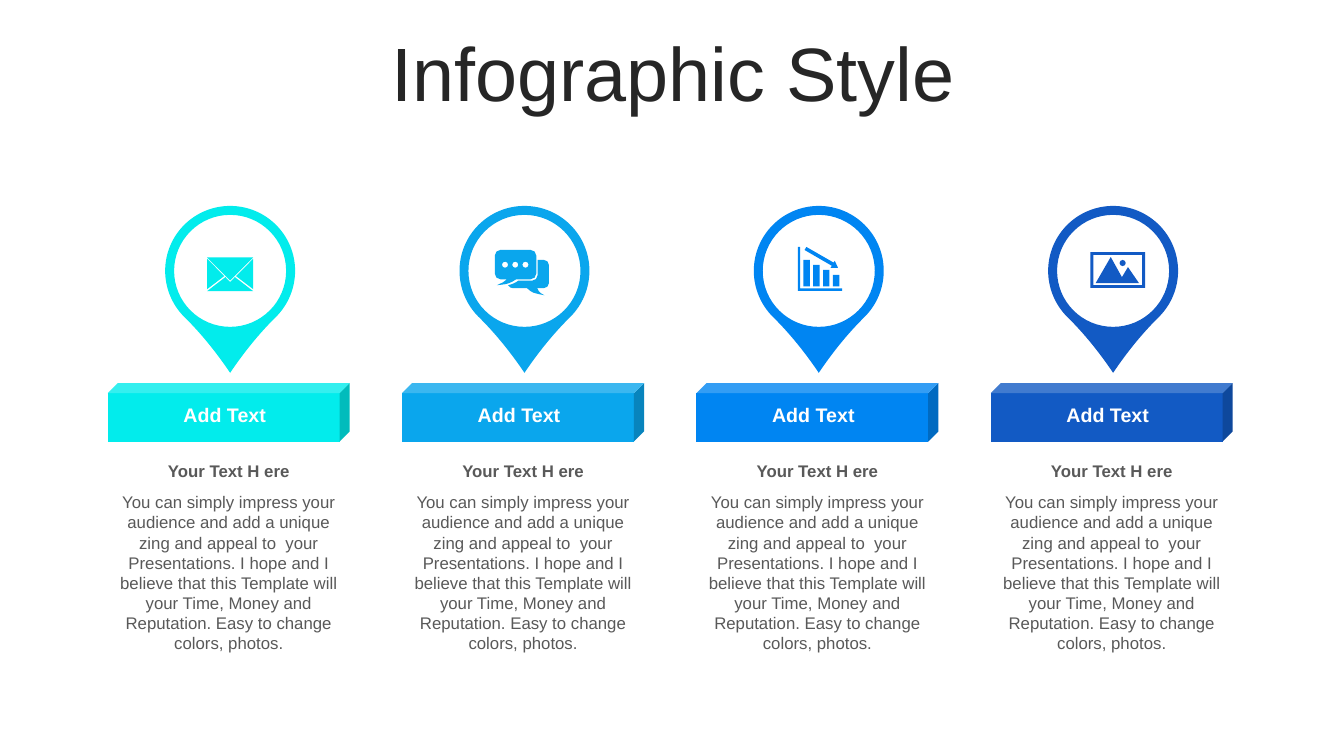
from math import cos, radians, sin, tan

from pptx import Presentation
from pptx.dml.color import RGBColor
from pptx.enum.shapes import MSO_SHAPE
from pptx.enum.text import MSO_ANCHOR, PP_ALIGN
from pptx.oxml.ns import qn
from pptx.util import Pt

TITLE = "Infographic Style"
LABEL = "Add Text"
HEADING = "Your Text H ere"
BODY = (
    "You can simply impress your audience and add a unique zing and appeal to  your "
    "Presentations. I hope and I believe that this Template will your Time, Money and "
    "Reputation. Easy to change colors, photos."
)
PITCH = 210.24
PIN_X, PIN_Y = 164.4, 193.5
HOLE_RADIUS, PIN_RADIUS = 40, 46.4


def lines(*points):
    return [[point] for point in points]


def arc(x, y, radius, *angles):
    def spot(angle, reach=0):
        c, s = cos(radians(angle)), sin(radians(angle))
        return x + radius * (c - reach * s), y + radius * (s + reach * c)

    steps = lines(spot(angles[0]))
    for start, end in zip(angles, angles[1:]):
        reach = 4 / 3 * tan(radians(end - start) / 4)
        steps.append([spot(start, reach), spot(end, -reach), spot(end)])
    return steps


def circle(x, y, radius):
    return arc(x, y, radius, 0, 90, 180, 270, 360)


def rectangle(left, top, right, bottom):
    return lines((left, top), (right, top), (right, bottom), (left, bottom))


PIN = [
    circle(0, 0, HOLE_RADIUS),
    arc(0, 0, PIN_RADIUS, 135, 180, 270, 360, 405)
    + [
        [(20.8, 44.6), (9.8, 58.3), (0, 72.8)],
        [(-9.8, 58.3), (-20.8, 44.6), (-32.8, 32.8)],
    ],
]

ENVELOPE = [
    lines((-16.4, -9.6), (16.4, -9.6), (0, 6.8)),
    lines((16.4, -8.6), (16.4, 13), (4.2, 3.7)),
    lines((-16.4, -8.6), (-16.4, 13), (-4.2, 3.7)),
    lines((3.4, 4.4), (16.4, 14.4), (-16.4, 14.4), (-3.4, 4.4), (0, 8)),
]

FRONT_BUBBLE = (
    arc(-17.2, -11, 4, 180, 270)
    + arc(4.4, -11, 4, 270, 360)
    + arc(4.4, 2, 4, 0, 90)
    + lines((-5.9, 6))
    + [
        [(-10.3, 8.8), (-11.7, 9.5), (-19.7, 10.2)],
        [(-15.3, 8.1), (-14.6, 8.1), (-12.5, 6)],
    ]
    + arc(-17.2, 2, 4, 90, 180)
)
BACK_BUBBLE = (
    lines((9.4, -7.9))
    + arc(13.7, -4.1, 3.8, 270, 360)
    + arc(13.7, 8.6, 3.8, 0, 90)
    + lines((9.1, 12.4))
    + [
        [(9.9, 13.8), (9.9, 15.3), (14.2, 17.4)],
        [(6.3, 15.8), (5.5, 15.8), (1.9, 12.4)],
    ]
    + lines((-8.1, 12.4))
    + [
        [(-9.6, 12.4), (-11, 11.7), (-11.7, 10.2)],
        [(-8.9, 9.5), (-6.7, 8.8), (-4.5, 7)],
    ]
    + arc(5.4, 3, 4, 90, 0)
)
CHAT = [circle(x, -4.4, 2.2) for x in (-13.9, -6.6, 0.7)] + [FRONT_BUBBLE, BACK_BUBBLE]

BARS = [rectangle(-11 + 7 * i, -7.9 + 3.6 * i, -6.4 + 7 * i, 11.1) for i in range(4)] + [
    lines((-8.9, -17.1), (10.6, -5.9), (11.4, -7.2), (13.7, -2.2), (8.4, -2.2), (9.3, -3.6), (-10.2, -14.9)),
    lines((-15, -17.1), (-13.3, -17.1), (-13.3, 12.5), (16.6, 12.5), (16.6, 14.3), (-15, 14.3)),
]

LANDSCAPE = [
    rectangle(-16.2, -13.4, 22.8, 12.1),
    rectangle(-14.1, -11.4, 20.7, 10.1),
    circle(6.8, -5.6, 2.2),
    lines((-1.7, -9.9), (6.3, 4.5), (10.6, -2.7), (18.5, 8.8), (-12.5, 8.8)),
]

COLUMNS = [
    ("02ECEC", ENVELOPE),
    ("0AA6ED", CHAT),
    ("0085F2", BARS),
    ("125AC4", LANDSCAPE),
]

deck = Presentation()
deck.slide_width, deck.slide_height = Pt(960), Pt(540)
page = deck.slides.add_slide(deck.slide_layouts[6])


def color(value):
    return RGBColor.from_string(value)


def paint(shape, fill):
    shape.shadow.inherit = False
    shape.fill.solid()
    shape.fill.fore_color.rgb = color(fill)
    shape.line.fill.background()


def bend(shape, outlines):
    segments = iter(list(shape.element.iter(qn("a:lnTo"))))
    for outline in outlines:
        for step in outline[1:]:
            segment = next(segments)
            if len(step) == 3:
                segment.tag = qn("a:cubicBezTo")
                for extra in (next(segments), next(segments)):
                    segment.append(extra[0])
                    extra.getparent().remove(extra)


def add_outline(outlines, x, y, fill):
    builder = None
    for outline in outlines:
        points = [(Pt(x + dx), Pt(y + dy)) for step in outline for dx, dy in step]
        if builder is None:
            builder = page.shapes.build_freeform(*points[0])
        else:
            builder.move_to(*points[0])
        builder.add_line_segments(points[1:], close=True)
    shape = builder.convert_to_shape()
    bend(shape, outlines)
    paint(shape, fill)


def add_text(text, left, top, width, height, size, ink, bold=False):
    box = page.shapes.add_textbox(Pt(left), Pt(top), Pt(width), Pt(height))
    box.text_frame.word_wrap = True
    para = box.text_frame.paragraphs[0]
    para.text = text
    para.alignment = PP_ALIGN.CENTER
    para.font.name = "Arial"
    para.font.size = Pt(size)
    para.font.bold = bold
    para.font.color.rgb = color(ink)
    return box


title = add_text(TITLE, 25.2, 26.6, 911.5, 56.9, 54, "262626")
title.text_frame.vertical_anchor = MSO_ANCHOR.MIDDLE
title.text_frame.paragraphs[0].line_spacing = 0.9

for index, (fill, icon) in enumerate(COLUMNS):
    shift = index * PITCH
    add_outline(PIN, PIN_X + shift, PIN_Y, fill)
    cube = page.shapes.add_shape(MSO_SHAPE.CUBE, Pt(77 + shift), Pt(273.6), Pt(172.8), Pt(41.8))
    cube.adjustments[0] = 0.173
    paint(cube, fill)
    add_text(BODY, 75.6 + shift, 347.8, 175.7, 123.8, 12, "595959")
    add_text(HEADING, 75.6 + shift, 325.4, 175.7, 21.6, 12, "595959", True)
    add_text(LABEL, 97.9 + shift, 284.4, 125.3, 24.5, 14, "FFFFFF", True)
    add_outline(icon, PIN_X + shift, PIN_Y, fill)

deck.save("out.pptx")
